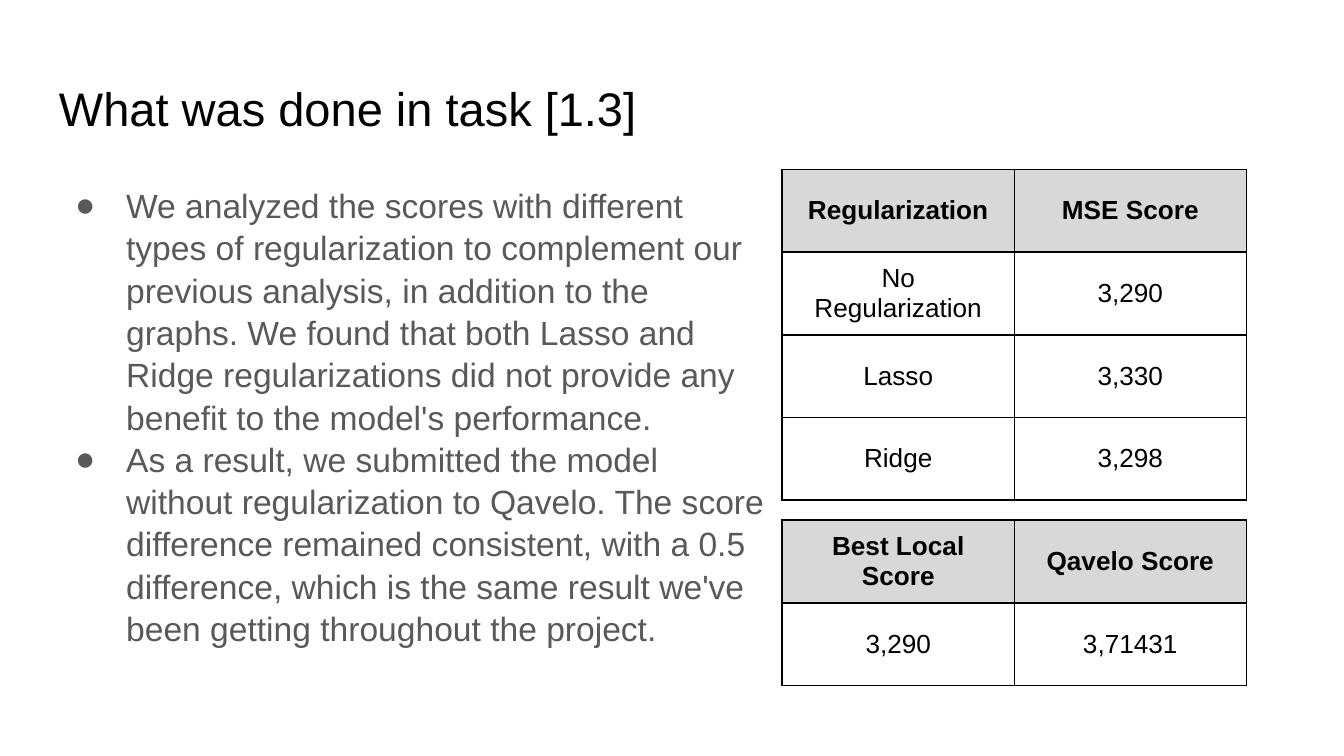
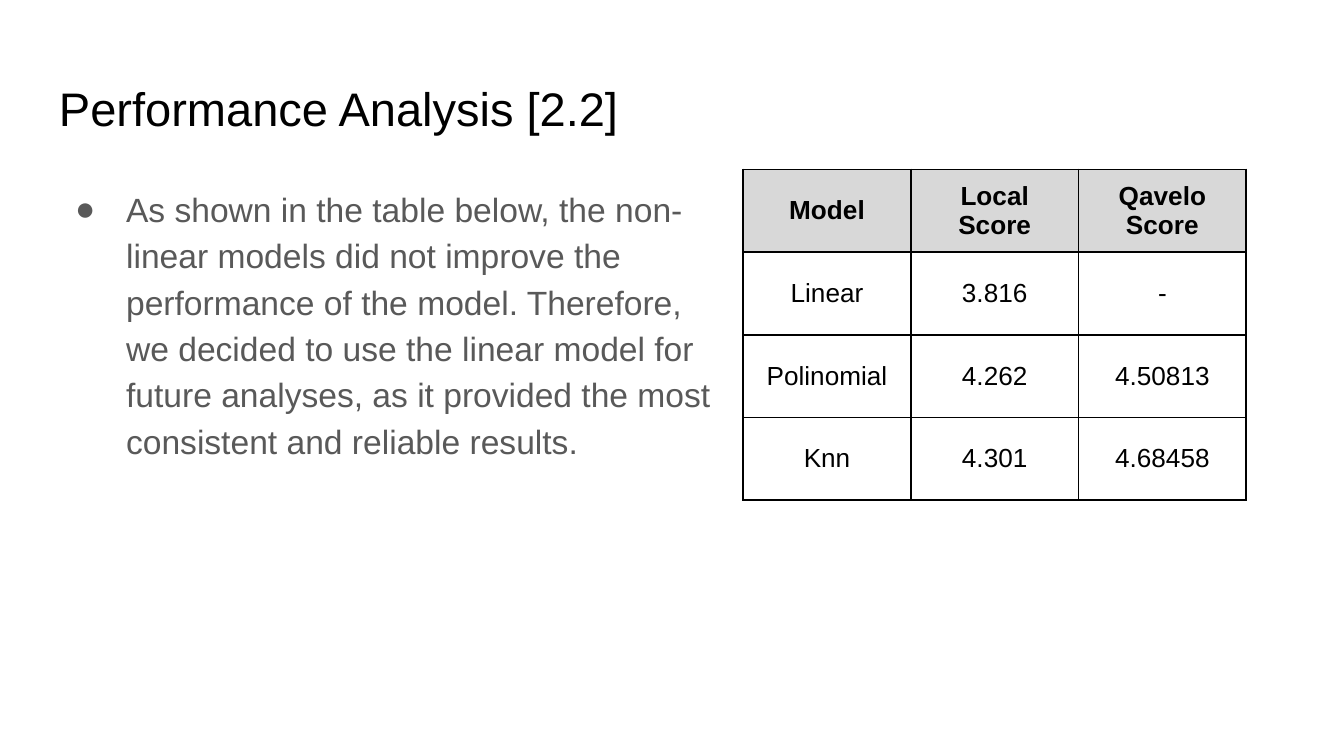
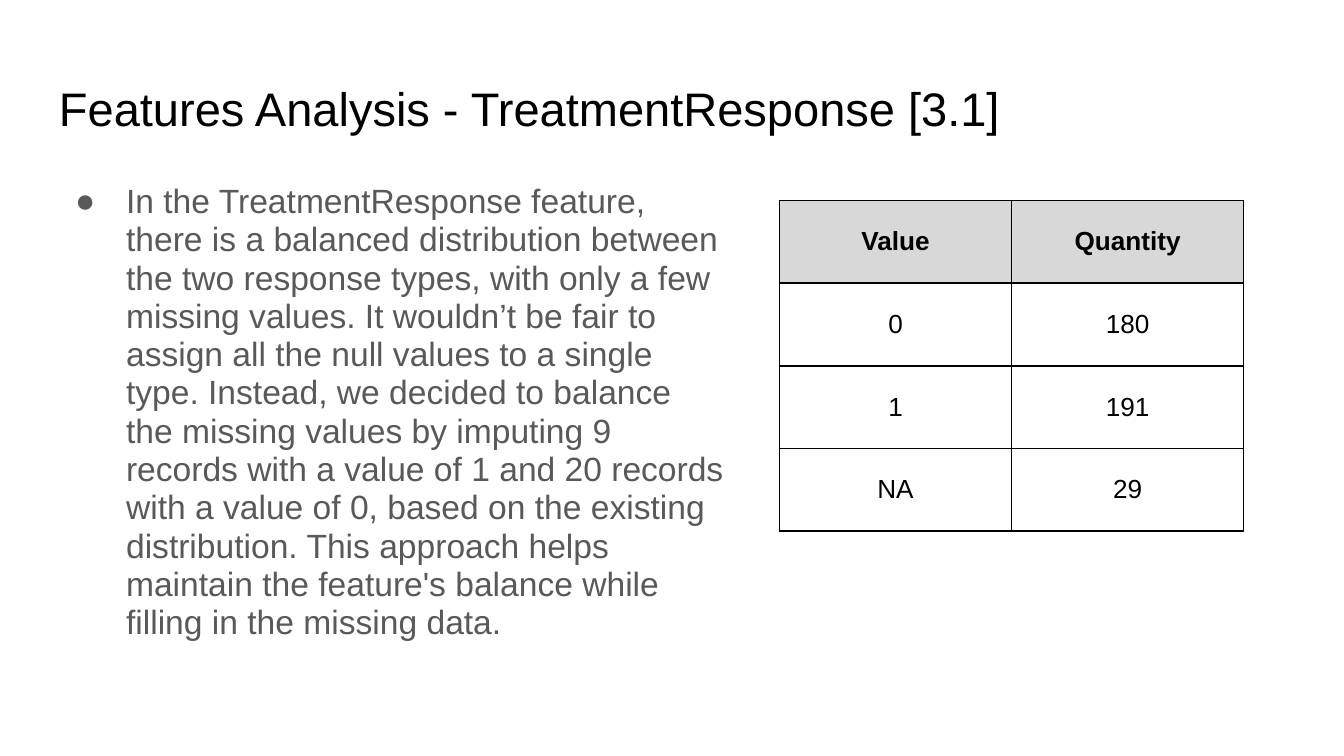
from collections import namedtuple

from lxml.etree import SubElement
from pptx import Presentation
from pptx.dml.color import RGBColor
from pptx.enum.text import MSO_ANCHOR as Anchor, PP_ALIGN as Align
from pptx.oxml.ns import qn
from pptx.util import Inches, Pt

SLIDE_WIDTH = Inches(10)
SLIDE_HEIGHT = SLIDE_WIDTH * 9 // 16
COLUMN = SLIDE_WIDTH / 100
ROW = SLIDE_HEIGHT / 100

FONT = "Arial"
BLACK = RGBColor(0x00, 0x00, 0x00)
WHITE = RGBColor(0xFF, 0xFF, 0xFF)
BODY_GRAY = RGBColor(0x59, 0x59, 0x59)
HEADER_GRAY = RGBColor(0xD8, 0xD8, 0xD8)

Box = namedtuple("Box", "left top width height")
TableSpec = namedtuple("TableSpec", "left top column_width rows")

MARGIN = 3.4
BODY_TOP = 22.4
TABLE_ROW = 10.94
TITLE_BOX = Box(MARGIN, 8.7, 93.2, 11.2)

SLIDES = [
    {
        "title": "What was done in task [1.3]",
        "body_width": 54.8,
        "line_spacing": 1.05,
        "space_before": 12,
        "bullets": [
            "We analyzed the scores with different types of regularization to "
            "complement our previous analysis, in addition to the graphs. We found "
            "that both Lasso and Ridge regularizations did not provide any benefit "
            "to the model's performance.",
            "As a result, we submitted the model without regularization to Qavelo. "
            "The score difference remained consistent, with a 0.5 difference, which "
            "is the same result we've been getting throughout the project.",
        ],
        "tables": [
            TableSpec(58.2, BODY_TOP, 17.27, [
                ["Regularization", "MSE Score"],
                ["No Regularization", "3,290"],
                ["Lasso", "3,330"],
                ["Ridge", "3,298"],
            ]),
            TableSpec(58.2, 68.8, 17.27, [
                ["Best Local Score", "Qavelo Score"],
                ["3,290", "3,71431"],
            ]),
        ],
    },
    {
        "title": "Performance Analysis [2.2]",
        "body_width": 50.7,
        "line_spacing": 1.15,
        "space_before": 0,
        "bullets": [
            "As shown in the table below, the non-linear models did not improve the "
            "performance of the model. Therefore, we decided to use the linear model "
            "for future analyses, as it provided the most consistent and reliable "
            "results.",
        ],
        "tables": [
            TableSpec(55.3, BODY_TOP, 12.48, [
                ["Model", "Local Score", "Qavelo Score"],
                ["Linear", "3.816", "-"],
                ["Polinomial", "4.262", "4.50813"],
                ["Knn", "4.301", "4.68458"],
            ]),
        ],
    },
    {
        "title": "Features Analysis - TreatmentResponse [3.1]",
        "body_width": 51.7,
        "line_spacing": 0.95,
        "space_before": 0,
        "bullets": [
            "In the TreatmentResponse feature, there is a balanced distribution "
            "between the two response types, with only a few missing values. It "
            "wouldn’t be fair to assign all the null values to a single type. "
            "Instead, we decided to balance the missing values by imputing 9 records "
            "with a value of 1 and 20 records with a value of 0, based on the "
            "existing distribution. This approach helps maintain the feature's "
            "balance while filling in the missing data.",
        ],
        "tables": [
            TableSpec(58, 26.5, 17.27, [
                ["Value", "Quantity"],
                ["0", "180"],
                ["1", "191"],
                ["NA", "29"],
            ]),
        ],
    },
]


def place(box):
    return (round(box.left * COLUMN), round(box.top * ROW),
            round(box.width * COLUMN), round(box.height * ROW))


def write(paragraph, text, size, color, bold=False):
    paragraph.text = text
    for run in paragraph.runs:
        run.font.name = FONT
        run.font.size = Pt(size)
        run.font.bold = bold
        run.font.color.rgb = color


def add_text_frame(slide, box):
    text_frame = slide.shapes.add_textbox(*place(box)).text_frame
    text_frame.word_wrap = True
    text_frame.margin_left = text_frame.margin_right = Inches(0.1)
    text_frame.margin_top = text_frame.margin_bottom = Inches(0.1)
    return text_frame


def add_title(slide, box, text):
    write(add_text_frame(slide, box).paragraphs[0], text, 25.2, BLACK)


def set_bullet(paragraph):
    properties = paragraph._p.get_or_add_pPr()
    properties.set("marL", str(Inches(0.5)))
    properties.set("indent", str(-Inches(0.38)))
    bullet_color = SubElement(properties, qn("a:buClr"))
    SubElement(bullet_color, qn("a:srgbClr"), val=str(BODY_GRAY))
    SubElement(properties, qn("a:buFont"), typeface=FONT)
    SubElement(properties, qn("a:buChar"), char="●")


def add_bullets(slide, box, bullets, line_spacing, space_before):
    text_frame = add_text_frame(slide, box)
    for index, text in enumerate(bullets):
        paragraph = text_frame.add_paragraph() if index else text_frame.paragraphs[0]
        write(paragraph, text, 18, BODY_GRAY)
        paragraph.line_spacing = line_spacing
        paragraph.space_before = Pt(0 if index else space_before)
        set_bullet(paragraph)


def set_borders(cell):
    properties = cell._tc.get_or_add_tcPr()
    for position, side in enumerate(("lnL", "lnR", "lnT", "lnB")):
        line = SubElement(properties, qn(f"a:{side}"), w=str(Pt(1)))
        fill = SubElement(line, qn("a:solidFill"))
        SubElement(fill, qn("a:srgbClr"), val=str(BLACK))
        properties.insert(position, line)


def format_cell(cell, text, is_header):
    paragraph = cell.text_frame.paragraphs[0]
    write(paragraph, text, 14, BLACK, is_header)
    paragraph.alignment = Align.CENTER
    cell.vertical_anchor = Anchor.MIDDLE
    cell.fill.solid()
    cell.fill.fore_color.rgb = HEADER_GRAY if is_header else WHITE
    set_borders(cell)


def add_score_table(slide, box, rows):
    frame = slide.shapes.add_table(len(rows), len(rows[0]), *place(box))
    for row_index, row in enumerate(rows):
        for column_index, text in enumerate(row):
            format_cell(frame.table.cell(row_index, column_index), text, row_index == 0)


def add_analysis_slide(presentation, content):
    slide = presentation.slides.add_slide(presentation.slide_layouts[6])
    slide.background.fill.solid()
    slide.background.fill.fore_color.rgb = WHITE
    add_title(slide, TITLE_BOX, content["title"])
    body_box = Box(MARGIN, BODY_TOP, content["body_width"], 66.5)
    add_bullets(slide, body_box, content["bullets"],
                content["line_spacing"], content["space_before"])
    for spec in content["tables"]:
        table_box = Box(spec.left, spec.top, spec.column_width * len(spec.rows[0]),
                        TABLE_ROW * len(spec.rows))
        add_score_table(slide, table_box, spec.rows)


def main():
    presentation = Presentation()
    presentation.slide_width = SLIDE_WIDTH
    presentation.slide_height = SLIDE_HEIGHT
    for content in SLIDES:
        add_analysis_slide(presentation, content)
    presentation.save("out.pptx")


if __name__ == "__main__":
    main()
